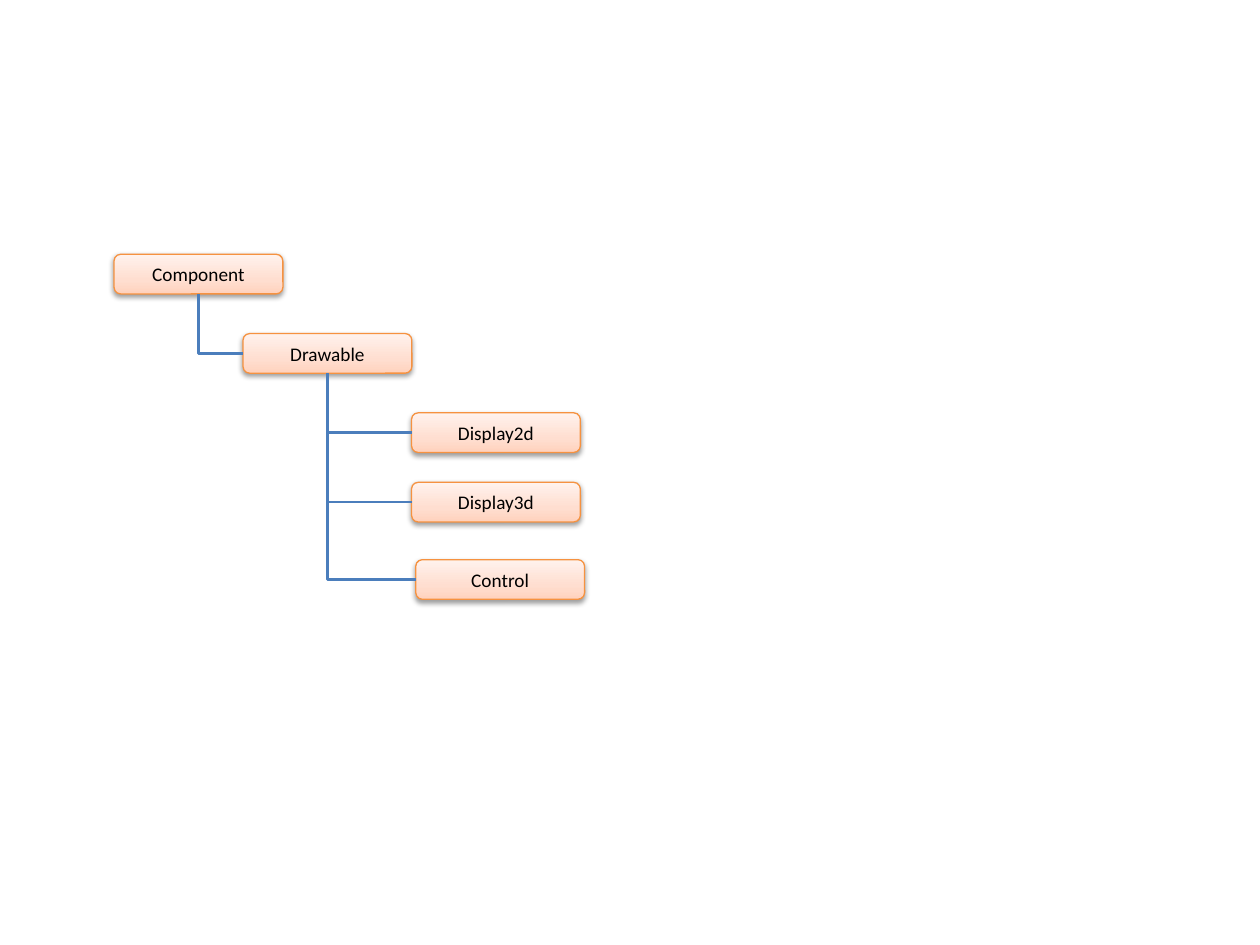
from copy import deepcopy
from dataclasses import dataclass

from lxml.etree import SubElement
from pptx import Presentation
from pptx.dml.color import RGBColor
from pptx.enum.shapes import MSO_CONNECTOR, MSO_SHAPE
from pptx.enum.text import MSO_ANCHOR, PP_ALIGN
from pptx.oxml.ns import qn
from pptx.util import Pt


@dataclass(frozen=True)
class Theme:
    """Colours, type and line sizes of the slide."""
    font: str = "Calibri"
    size: float = 11
    text: str = "000000"
    gradient: tuple = ((0, "FFD2BD"), (0.35, "FFDED0"), (1, "FFF2ED"))
    border: str = "F69240"
    border_width: float = 0.75
    link: str = "4B7EBC"
    link_width: float = 1.5


THEME = Theme()
BOX_W, BOX_H = 96.5, 22.65
STEP = 2 * BOX_H
TOP = 145.3
CLASSES = (
    ("Component", None, 65.2, TOP),
    ("Drawable", "Component", 138.9, TOP + STEP),
    ("Display2d", "Drawable", 235.2, TOP + 2 * STEP),
    ("Display3d", "Drawable", 235.2, 275.6),
    ("Control", "Drawable", 237.6, 319.8),
)


def set_line(line, color, width):
    """Give a line its colour and width."""
    line.color.rgb = RGBColor.from_string(color)
    line.width = Pt(width)


def set_gradient(fill):
    """Fill with the theme's three stops, running upwards."""
    fill.gradient()
    fill.gradient_angle = 90
    stops = fill._xPr.find(qn("a:gradFill")).find(qn("a:gsLst"))
    stops.append(deepcopy(stops[-1]))
    for stop, (position, color) in zip(fill.gradient_stops, THEME.gradient):
        stop.position = position
        stop.color.rgb = RGBColor.from_string(color)


def set_shadow(sp):
    """Add a soft shadow below a shape."""
    sp.shadow.inherit = False
    effects = sp._element.spPr.find(qn("a:effectLst"))
    shadow = SubElement(effects, qn("a:outerShdw"), blurRad=str(Pt(3.1)),
                        dist=str(Pt(1.6)), dir="5400000", rotWithShape="0")
    color = SubElement(shadow, qn("a:srgbClr"), val="000000")
    SubElement(color, qn("a:alpha"), val="38000")


def add_box(s, name, left, top):
    """Draw one class as a rounded box."""
    sp = s.shapes.add_shape(MSO_SHAPE.ROUNDED_RECTANGLE,
                            Pt(left), Pt(top), Pt(BOX_W), Pt(BOX_H))
    set_gradient(sp.fill)
    set_line(sp.line, THEME.border, THEME.border_width)
    set_shadow(sp)
    tf = sp.text_frame
    tf.vertical_anchor = MSO_ANCHOR.MIDDLE
    p = tf.paragraphs[0]
    p.alignment = PP_ALIGN.CENTER
    r = p.add_run()
    r.text = name
    r.font.name = THEME.font
    r.font.size = Pt(THEME.size)
    r.font.color.rgb = RGBColor.from_string(THEME.text)
    return sp


def add_link(s, parent, child):
    """Join a parent's bottom to a child's left side with one bend."""
    x1, y1 = parent.left + parent.width // 2, parent.top + parent.height
    x2, y2 = child.left, child.top + child.height // 2
    dx, dy = x2 - x1, y2 - y1
    cxn = s.shapes.add_connector(MSO_CONNECTOR.ELBOW, x1, y1, x2, y2)
    cxn.begin_connect(parent, 2)
    cxn.end_connect(child, 1)
    cxn.left, cxn.top = (x1 + x2 - dy) // 2, (y1 + y2 - dx) // 2
    cxn.width, cxn.height = dy, dx
    set_line(cxn.line, THEME.link, THEME.link_width)
    props = cxn._element.spPr
    xfrm = props.find(qn("a:xfrm"))
    xfrm.set("rot", "16200000")
    xfrm.set("flipH", "1")
    props.find(qn("a:prstGeom")).set("prst", "bentConnector2")
    SubElement(props, qn("a:effectLst"))


def main():
    """Build the class hierarchy slide."""
    prs = Presentation()
    prs.slide_width, prs.slide_height = Pt(720), Pt(540)
    s = prs.slides.add_slide(prs.slide_layouts[6])
    boxes = {name: add_box(s, name, left, top)
             for name, _, left, top in CLASSES}
    for name, parent, _, _ in CLASSES:
        if parent:
            add_link(s, boxes[parent], boxes[name])
    prs.save("out.pptx")


main()
